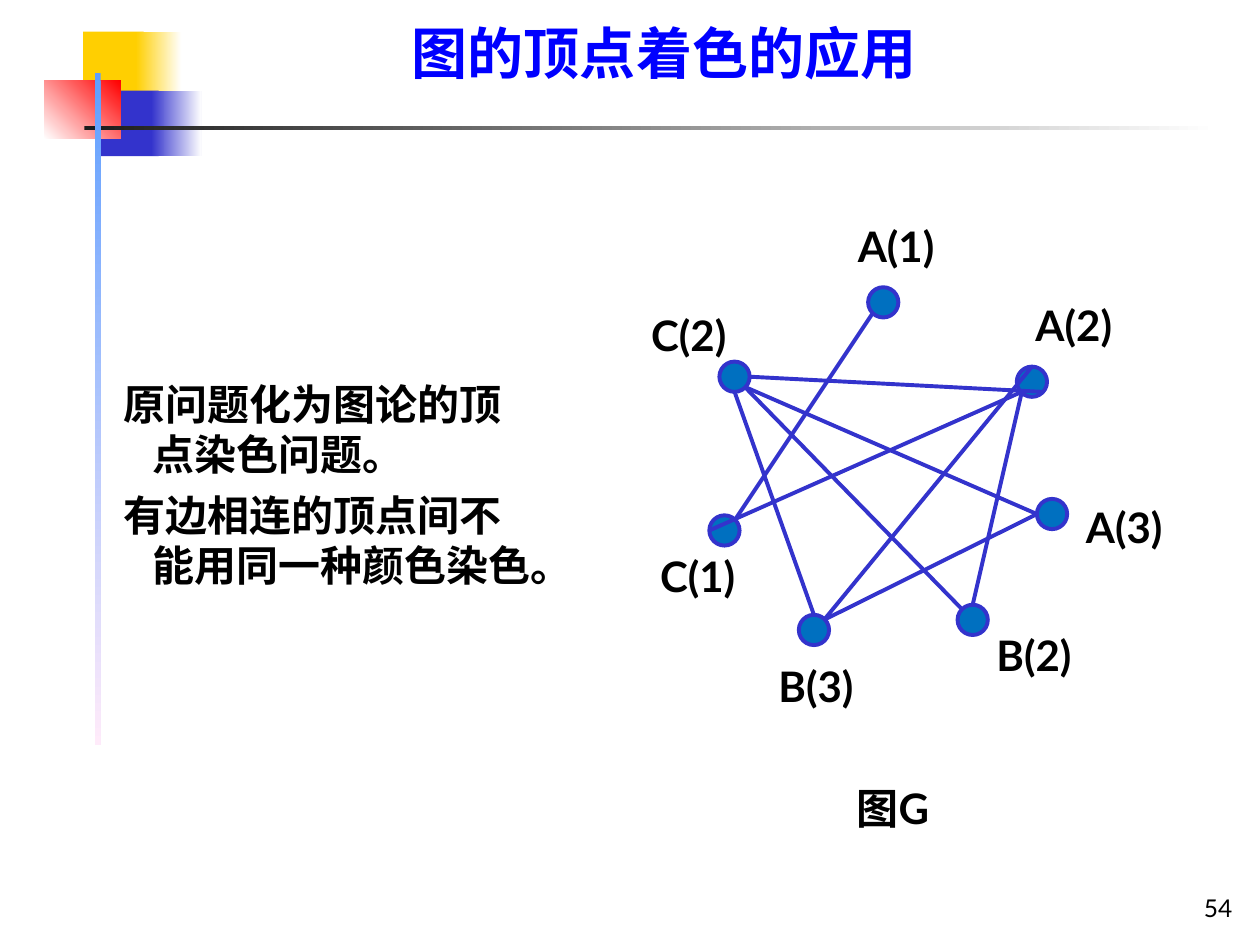
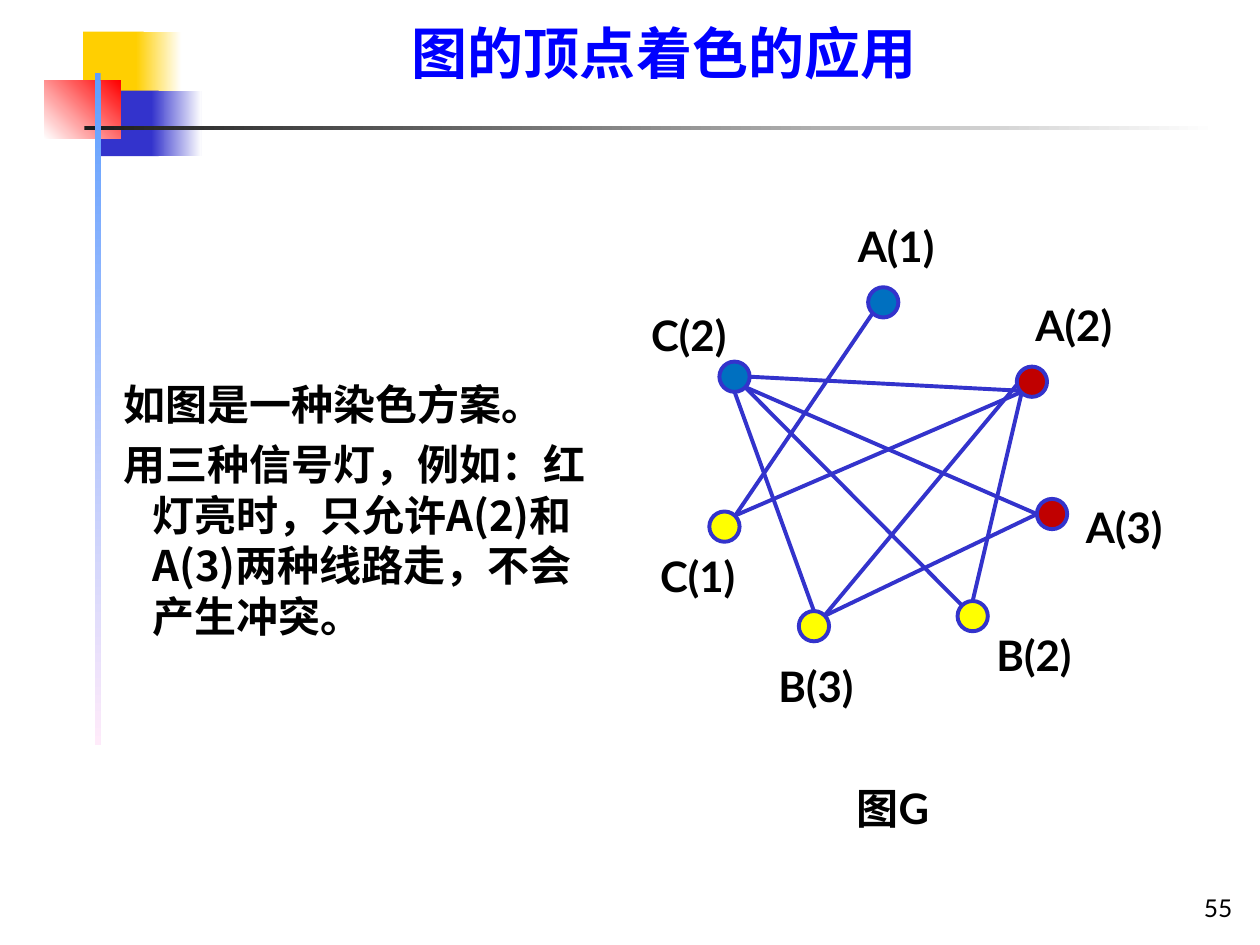
from lxml.etree import SubElement as Sub
from pptx import Presentation
from pptx.dml.color import RGBColor as Rgb
from pptx.enum.shapes import MSO_CONNECTOR as Link, MSO_SHAPE as Kind
from pptx.enum.text import MSO_ANCHOR as Anchor, MSO_AUTO_SIZE as Auto, PP_ALIGN as Align
from pptx.oxml.ns import qn
from pptx.util import Inches, Pt

HUES = {
    "gold": "FFCF01", "navy": "3333CC", "white": "FFFFFF", "red": "FF0000",
    "ink": "1C1C1C", "sky": "5E9EFF", "pink": "FFEBFA", "black": "000000",
    "title": "0000FF", "blue": "0070C0", "yellow": "FFFF00", "crimson": "C00000",
}
LATIN, HAN = "Lato", "Noto Sans CJK SC"
TITLE = "图的顶点着色的应用"
SIZE, RIM = 0.24, 2.25

BARS = [
    (0.31, 0, 0.48, 0.52, ["gold"], 0),
    (0.73, 0, 0.36, 0.52, ["gold", "white"], 0),
    (0.45, 0.47, 0.46, 0.52, ["navy"], 0),
    (0.85, 0.47, 0.4, 0.52, ["navy", "white"], 0),
    (0, 0.39, 0.61, 0.46, ["white", "red"], 45),
    (0.32, 0.75, 9, 0.03, ["ink", "white"], 0),
    (0.4, 0.33, 0.05, 5.33, ["sky", "pink"], 270),
]

NODES = {
    "A(1)": ((2.01, 0.7), (1.71, 0)),
    "A(2)": ((3.19, 1.33), (3.12, 0.63)),
    "A(3)": ((3.35, 2.38), (3.52, 2.23)),
    "B(2)": ((2.72, 3.22), (2.81, 3.25)),
    "B(3)": ((1.46, 3.3), (1.08, 3.49)),
    "C(1)": ((0.75, 2.51), (0.14, 2.62)),
    "C(2)": ((0.83, 1.29), (0.07, 0.71)),
}
LOW = ("B(2)", "B(3)", "C(1)")

SITES = {
    "n": (0, -0.12), "s": (0, 0.12), "e": (0.12, 0), "w": (-0.12, 0),
    "ne": (0.08, -0.08), "nw": (-0.08, -0.08),
    "se": (0.08, 0.08), "sw": (-0.08, 0.08),
}
EDGES = [
    ("A(1)", "sw", "C(1)", "ne"),
    ("C(1)", "w", "A(2)", "sw"),
    ("A(2)", "se", "C(2)", "e"),
    ("A(2)", "n", "B(3)", "ne"),
    ("A(2)", "sw", "B(2)", "n"),
    ("A(3)", "w", "C(2)", "se"),
    ("A(3)", "w", "B(3)", "ne"),
    ("C(2)", "s", "B(3)", "n"),
    ("C(2)", "se", "B(2)", "nw"),
]

PLAIN = dict.fromkeys(NODES, "blue")
LIGHTS = {**PLAIN, **dict.fromkeys(LOW, "yellow"),
          **dict.fromkeys(("A(2)", "A(3)"), "crimson")}

PAGES = [
    {"page": "54", "width": 3.46, "hues": PLAIN, "drop": 0, "over": False,
     "lines": ["原问题化为图论的顶点染色问题。",
               "有边相连的顶点间不能用同一种颜色染色。"]},
    {"page": "55", "width": 3.86, "hues": LIGHTS, "drop": -0.03, "over": True,
     "lines": ["如图是一种染色方案。",
               "用三种信号灯，例如：红灯亮时，只允许A(2)和A(3)两种线路走，不会产生冲突。"]},
]


def rgb(name):
    return Rgb.from_string(HUES[name])


def assign(thing, **vals):
    for key, val in vals.items():
        setattr(thing, key, val)


def write(slide, box, lines, size, face=LATIN, hue="black", bold=True,
          pad=(0.1, 0.05), frame=None, para=None, hang=None):
    shape = slide.shapes.add_textbox(*map(Inches, box))
    body = shape.text_frame
    side, edge = map(Inches, pad)
    assign(body, margin_left=side, margin_right=side, margin_top=edge,
           margin_bottom=edge, **(frame or {}))
    for num, line in enumerate(lines):
        item = body.add_paragraph() if num else body.paragraphs[0]
        assign(item, **(para or {}))
        if num:
            item.space_before = Pt(6)
        if hang:
            props = item._p.get_or_add_pPr()
            for key, val in zip(("marL", "indent"), hang):
                props.set(key, str(Inches(val)))
        run = item.add_run()
        run.text = line
        assign(run.font, size=Pt(size), bold=bold, name=face)
        run.font.color.rgb = rgb(hue)
        Sub(run._r.get_or_add_rPr(), qn("a:ea"), typeface=HAN)


def draw(slide, kind, box):
    shape = slide.shapes.add_shape(kind, *map(Inches, box))
    shape.shadow.inherit = False
    return shape


def decor(slide, left, top):
    for x, y, wide, high, hues, turn in BARS:
        shape = draw(slide, Kind.RECTANGLE, (left + x, top + y, wide, high))
        shape.line.fill.background()
        if len(hues) == 1:
            shape.fill.solid()
            shape.fill.fore_color.rgb = rgb(hues[0])
            continue
        shape.fill.gradient()
        shape.fill.gradient_angle = turn
        for stop, hue, spot in zip(shape.fill.gradient_stops, hues, (0, 1)):
            stop.color.rgb = rgb(hue)
            stop.position = spot


def rim(line):
    line.color.rgb = rgb("navy")
    line.width = Pt(RIM)


def dots(slide, spots, hues):
    for name, (x, y) in spots.items():
        box = (x - SIZE / 2, y - SIZE / 2, SIZE, SIZE)
        shape = draw(slide, Kind.OVAL, box)
        shape.fill.solid()
        shape.fill.fore_color.rgb = rgb(hues[name])
        rim(shape.line)


def edges(slide, spots):
    for start, out, end, into in EDGES:
        ends = [spot + move
                for name, site in ((start, out), (end, into))
                for spot, move in zip(spots[name], SITES[site])]
        line = slide.shapes.add_connector(Link.STRAIGHT, *map(Inches, ends))
        rim(line.line)
        Sub(line._element.spPr, qn("a:effectLst"))


def graph(slide, left, top, hues, drop, over):
    spots = {name: (left + x, top + y + (drop if name in LOW else 0))
             for name, ((x, y), _) in NODES.items()}
    if not over:
        dots(slide, spots, hues)
    edges(slide, spots)
    if over:
        dots(slide, spots, hues)
    tags = [(name, spot) for name, (_, spot) in NODES.items()]
    for name, (x, y) in tags + [("图G", (1.7, 4.46))]:
        write(slide, (left + x, top + y, 0.84, 0.5), [name], 24,
              frame={"word_wrap": False, "auto_size": Auto.SHAPE_TO_FIT_TEXT})


def build(deck, data):
    slide = deck.slides.add_slide(deck.slide_layouts[6])
    wrap = {"word_wrap": True}
    decor(slide, 0.35, 0.25)
    write(slide, (7.8, 6.87, 2.08, 0.5), [data["page"]], 14, bold=False,
          frame={**wrap, "vertical_anchor": Anchor.BOTTOM},
          para={"alignment": Align.RIGHT})
    graph(slide, 5, 1.7, data["hues"], data["drop"], data["over"])
    write(slide, (0.83, 3, data["width"], 2.08), data["lines"], 24, HAN,
          pad=(0, 0), frame=wrap, hang=(0.38, -0.23))
    write(slide, (3.27, 0.21, 4.17, 0.48), [TITLE], 32, HAN, "title",
          pad=(0, 0), frame=wrap, para={"line_spacing": 0.9})


def main():
    deck = Presentation()
    assign(deck, slide_width=Inches(10), slide_height=Inches(7.5))
    for data in PAGES:
        build(deck, data)
    deck.save("out.pptx")


if __name__ == "__main__":
    main()
